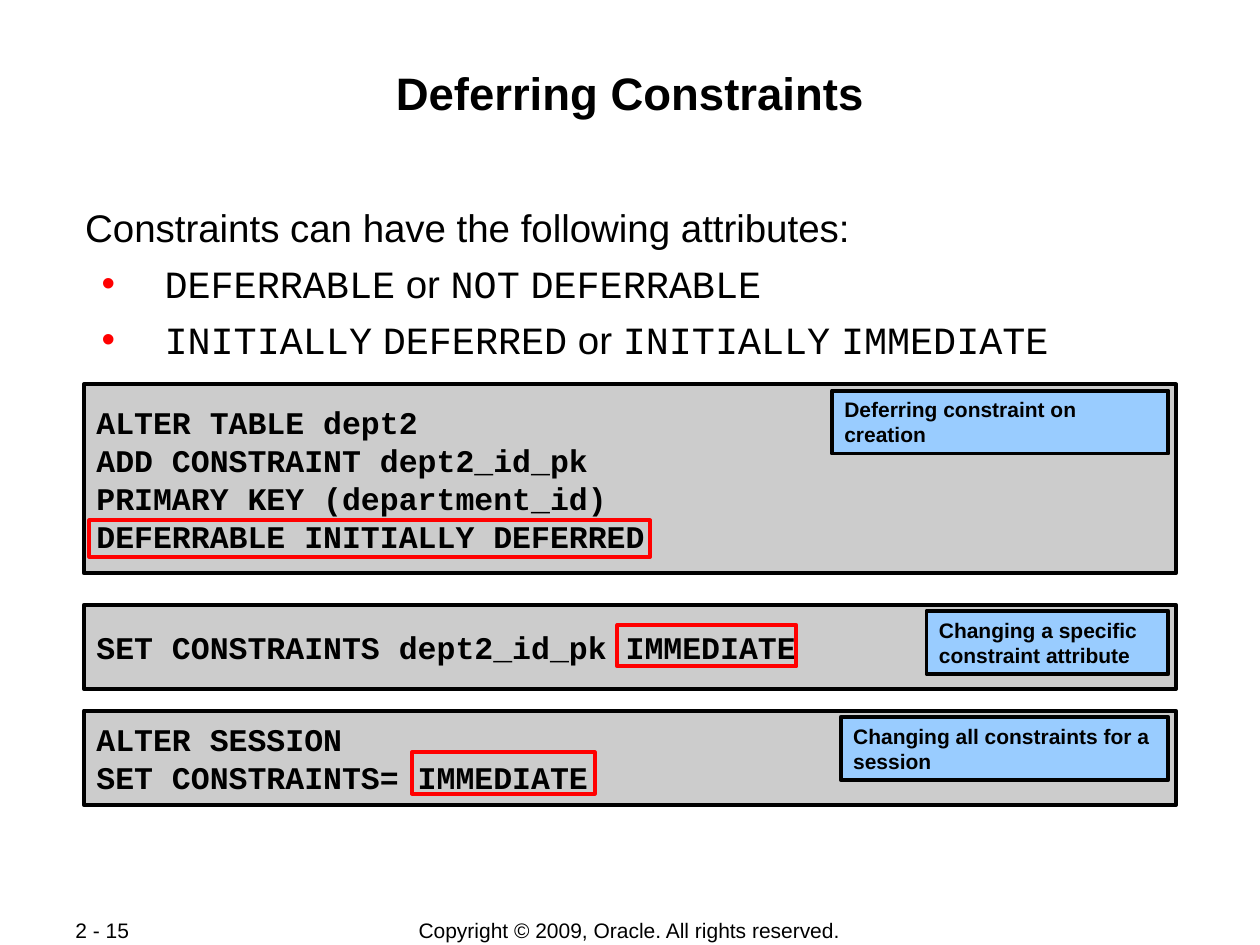
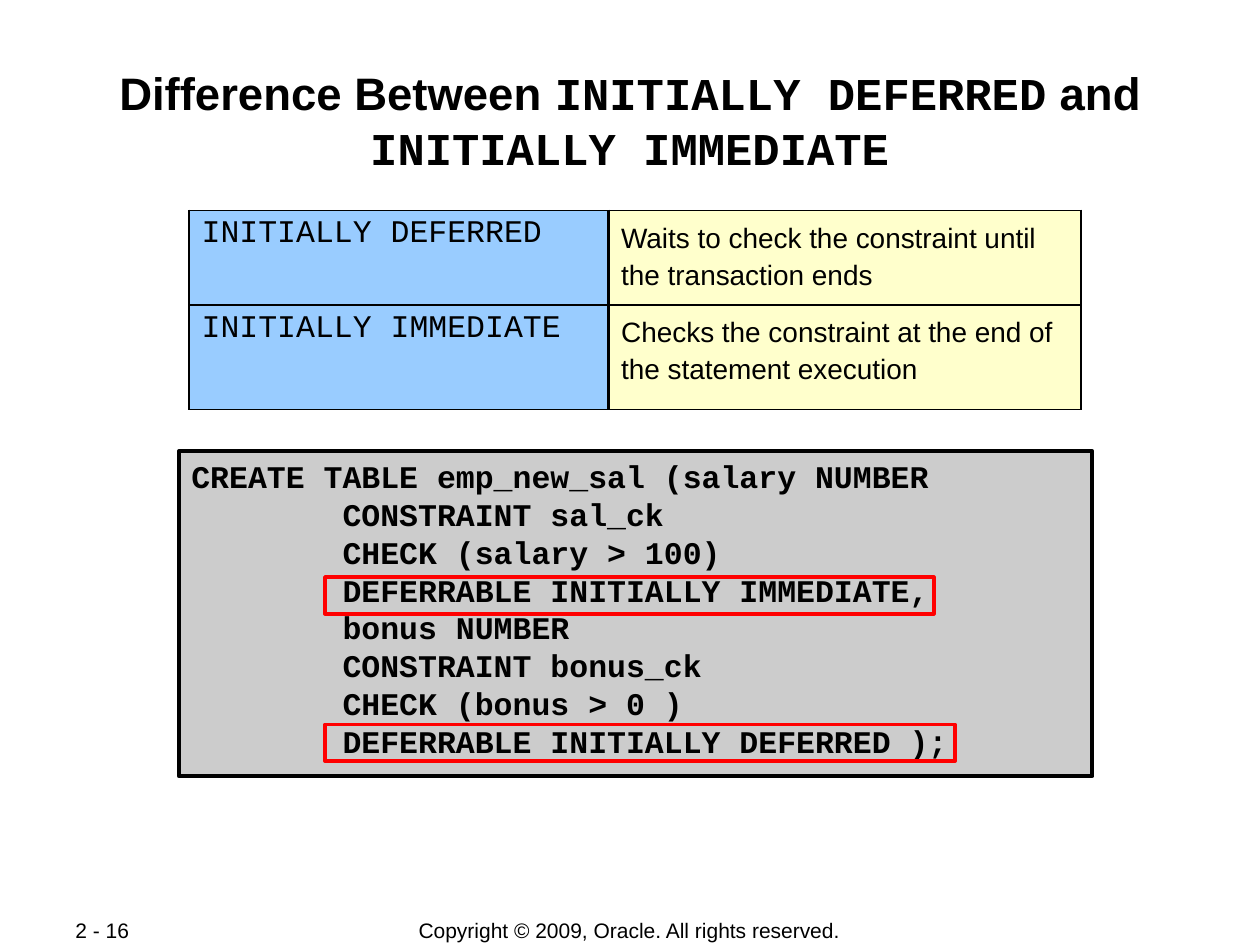
from lxml.etree import SubElement
from pptx import Presentation
from pptx.dml.color import RGBColor
from pptx.enum.shapes import MSO_SHAPE as Shape
from pptx.enum.text import MSO_ANCHOR as Anchor, PP_ALIGN as Align
from pptx.oxml.ns import qn
from pptx.util import Inches, Pt

WIDTH, HEIGHT = 10, 7.5
MARGIN = WIDTH / 15
SANS, MONO = "Arial", "Courier New"
COLORS = {
    "text": "000000", "line": "000000", "accent": "FF0000",
    "code": "CCCCCC", "label": "99CCFF", "meaning": "FFFFCC",
}
COPYRIGHT = "Copyright © 2009, Oracle. All rights reserved."
CHAPTER, FIRST_PAGE = 2, 15
OUTLINE = 2.25
THIN, THICK = 1.08, 2.21

TITLES = [
    [("Deferring Constraints", SANS)],
    [("Difference Between ", SANS), ("INITIALLY DEFERRED", MONO),
     (" and ", SANS), ("INITIALLY IMMEDIATE", MONO)],
]
INTRO = "Constraints can have the following attributes:"
ATTRIBUTES = [
    [("DEFERRABLE", MONO), (" or ", SANS), ("NOT", MONO), (" ", SANS), ("DEFERRABLE", MONO)],
    [("INITIALLY", MONO), (" ", SANS), ("DEFERRED", MONO), (" or ", SANS),
     ("INITIALLY", MONO), (" ", SANS), ("IMMEDIATE", MONO)],
]
STATEMENTS = [
    {"top": 3.05, "height": 1.5,
     "code": ["ALTER TABLE dept2", "ADD CONSTRAINT dept2_id_pk",
              "PRIMARY KEY (department_id)", "DEFERRABLE INITIALLY DEFERRED"],
     "highlight": (0.71, 4.13, 4.45, 0.29),
     "label": "Deferring constraint on creation", "label_width": 2.67},
    {"top": 4.8, "height": 0.67,
     "code": ["SET CONSTRAINTS dept2_id_pk IMMEDIATE"],
     "highlight": (4.9, 4.96, 1.42, 0.33),
     "label": "Changing a specific constraint attribute", "label_width": 1.92},
    {"top": 5.64, "height": 0.75,
     "code": ["ALTER SESSION", "SET CONSTRAINTS= IMMEDIATE"],
     "highlight": (3.27, 5.97, 1.45, 0.33),
     "label": "Changing all constraints for a session", "label_width": 2.6},
]
MEANINGS = [
    ("INITIALLY DEFERRED", "Waits to check the constraint until the transaction ends"),
    ("INITIALLY IMMEDIATE", "Checks the constraint at the end of the statement execution"),
]
TABLE_COLUMNS, TABLE_ROWS = (3.33, 3.75), (0.75, 0.83)
CREATE_TABLE = [
    "CREATE TABLE emp_new_sal (salary NUMBER",
    "        CONSTRAINT sal_ck",
    "        CHECK (salary > 100)",
    "        DEFERRABLE INITIALLY IMMEDIATE,",
    "        bonus NUMBER",
    "        CONSTRAINT bonus_ck",
    "        CHECK (bonus > 0 )",
    "        DEFERRABLE INITIALLY DEFERRED );",
]
CREATE_HIGHLIGHTS = [(2.58, 4.58, 4.83, 0.29), (2.58, 5.75, 5, 0.29)]


def color(name):
    return RGBColor.from_string(COLORS[name])


def write(paragraph, runs, size, bold=False, align=Align.LEFT):
    paragraph.alignment = align
    for text, font_name in runs:
        run = paragraph.add_run()
        run.text = text
        run.font.name, run.font.size, run.font.bold = font_name, Pt(size), bold
        run.font.color.rgb = color("text")


def set_insets(frame, horizontal, vertical):
    frame.margin_left = frame.margin_right = Inches(horizontal)
    frame.margin_top = frame.margin_bottom = Inches(vertical)


def add_text(slide, box, runs, size, bold=False, align=Align.LEFT,
             insets=(0.1, 0.05), anchor=Anchor.TOP):
    frame = slide.shapes.add_textbox(*map(Inches, box)).text_frame
    frame.word_wrap, frame.vertical_anchor = True, anchor
    set_insets(frame, *insets)
    write(frame.paragraphs[0], runs, size, bold, align)
    return frame


def add_box(slide, box, fill=None, line="line"):
    shape = slide.shapes.add_shape(Shape.RECTANGLE, *map(Inches, box))
    shape.shadow.inherit = False
    shape.line.color.rgb, shape.line.width = color(line), Pt(OUTLINE)
    if fill:
        shape.fill.solid()
        shape.fill.fore_color.rgb = color(fill)
    else:
        shape.fill.background()
    return shape


def add_panel(slide, box, fill, lines, font_name, size, anchor):
    frame = add_box(slide, box, fill).text_frame
    frame.word_wrap, frame.vertical_anchor = True, anchor
    set_insets(frame, 0.1, 0.05)
    for index, line in enumerate(lines):
        paragraph = frame.add_paragraph() if index else frame.paragraphs[0]
        write(paragraph, [(line, font_name)], size, bold=True)


def add_code(slide, box, lines, highlights, anchor=Anchor.MIDDLE):
    add_panel(slide, box, "code", lines, MONO, 18, anchor)
    for highlight in highlights:
        add_box(slide, highlight, line="accent")


def add_bullet(paragraph):
    properties = paragraph._p.get_or_add_pPr()
    properties.set("marL", str(Inches(0.63)))
    properties.set("indent", str(-Inches(0.5)))
    bullet_color = SubElement(properties, qn("a:buClr"))
    SubElement(bullet_color, qn("a:srgbClr"), val=COLORS["accent"])
    SubElement(properties, qn("a:buFont"), typeface=SANS)
    SubElement(properties, qn("a:buChar"), char="•")


def set_borders(cell, widths):
    properties = cell._tc.get_or_add_tcPr()
    for position, (side, width) in enumerate(widths.items()):
        line = properties.makeelement(qn(f"a:ln{side}"), {"w": str(Pt(width))})
        fill = SubElement(line, qn("a:solidFill"))
        SubElement(fill, qn("a:srgbClr"), val=COLORS["line"])
        properties.insert(position, line)


def add_meanings(slide):
    box = (1.5, 1.67, sum(TABLE_COLUMNS), sum(TABLE_ROWS))
    table = slide.shapes.add_table(len(MEANINGS), 2, *map(Inches, box)).table
    table.first_row = table.horz_banding = False
    for column, width in zip(table.columns, TABLE_COLUMNS):
        column.width = Inches(width)
    styles = [("label", MONO, 18, 0.95, "R"), ("meaning", SANS, 16, 1.2, "L")]
    for row, height, texts in zip(table.rows, TABLE_ROWS, MEANINGS):
        row.height = Inches(height)
        for cell, text, style in zip(row.cells, texts, styles):
            fill, font_name, size, spacing, thick_side = style
            cell.fill.solid()
            cell.fill.fore_color.rgb = color(fill)
            set_insets(cell, 0.1, 0.05)
            paragraph = cell.text_frame.paragraphs[0]
            paragraph.line_spacing = spacing
            write(paragraph, [(text, font_name)], size)
            set_borders(cell, {side: THICK if side == thick_side else THIN for side in "LRTB"})


def start_slide(presentation, index):
    slide = presentation.slides.add_slide(presentation.slide_layouts[6])
    add_text(slide, (2.75, 7.28, 4.49, 0.21), [(COPYRIGHT, SANS)], 12,
             align=Align.CENTER, anchor=Anchor.MIDDLE)
    add_text(slide, (0.5, 7.28, 1.06, 0.21), [(f"{CHAPTER} - {FIRST_PAGE + index}", SANS)], 12,
             anchor=Anchor.MIDDLE)
    add_text(slide, (MARGIN, 0.51, WIDTH - 2 * MARGIN, 0.96), TITLES[index], 26, True,
             Align.CENTER, (0.01, 0.01))
    return slide


def build_deferring(presentation):
    slide = start_slide(presentation, 0)
    content_width = WIDTH - 2 * MARGIN
    body = add_text(slide, (MARGIN, 1.61, content_width, 1.28), [(INTRO, SANS)], 22,
                    insets=(0.01, 0.01))
    for runs in ATTRIBUTES:
        paragraph = body.add_paragraph()
        add_bullet(paragraph)
        paragraph.space_before = Pt(5.5)
        write(paragraph, runs, 22)
    for statement in STATEMENTS:
        top, label_width = statement["top"], statement["label_width"]
        add_code(slide, (MARGIN, top, content_width, statement["height"]),
                 statement["code"], [statement["highlight"]])
        label_left = WIDTH - MARGIN - 0.06 - label_width
        add_panel(slide, (label_left, top + 0.05, label_width, 0.5), "label",
                  [statement["label"]], SANS, 12, Anchor.TOP)


def build_difference(presentation):
    slide = start_slide(presentation, 1)
    add_meanings(slide)
    add_code(slide, (1.42, 3.58, 7.25, 2.58), CREATE_TABLE, CREATE_HIGHLIGHTS, Anchor.TOP)


def main():
    presentation = Presentation()
    presentation.slide_width, presentation.slide_height = Inches(WIDTH), Inches(HEIGHT)
    build_deferring(presentation)
    build_difference(presentation)
    presentation.save("out.pptx")


if __name__ == "__main__":
    main()
